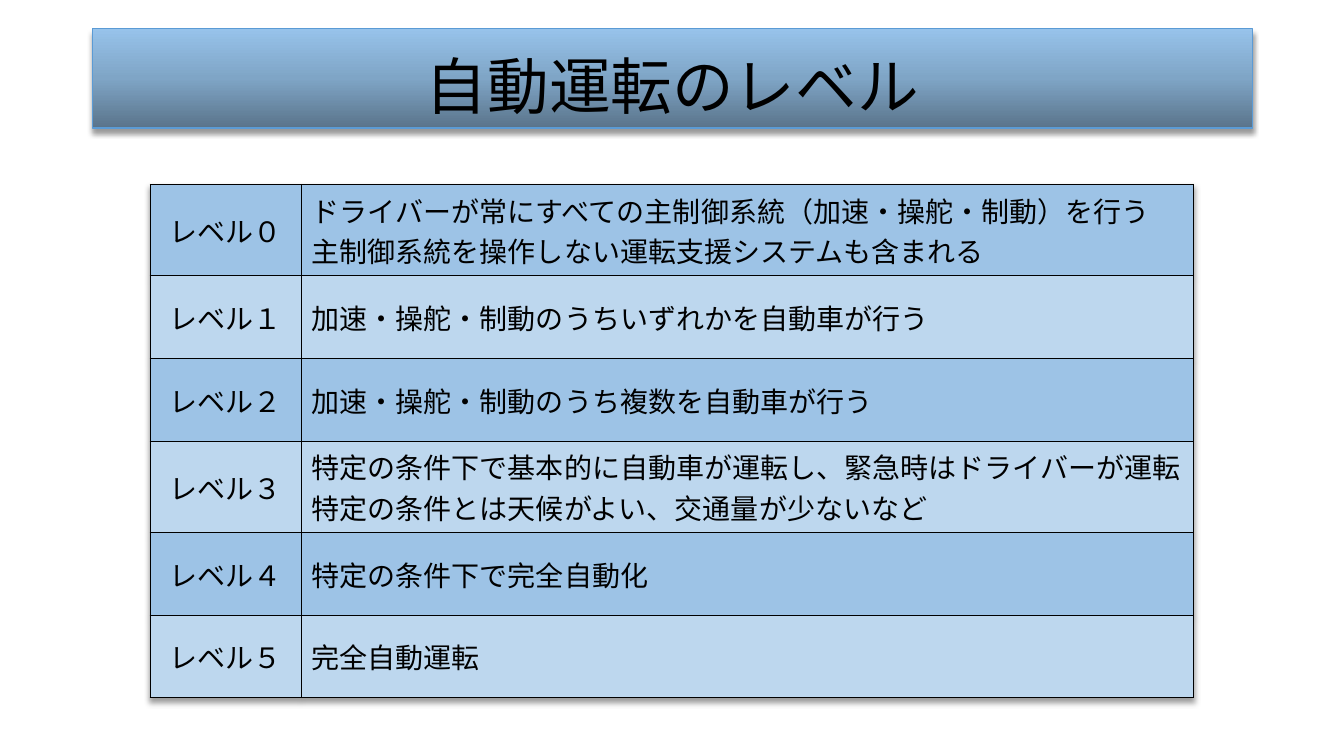
import copy

import lxml.etree
import pptx
import pptx.dml.color
import pptx.enum.shapes
import pptx.enum.text
import pptx.oxml
import pptx.oxml.ns
import pptx.util

Inches = pptx.util.Inches
Pt = pptx.util.Pt
qn = pptx.oxml.ns.qn
PP_ALIGN = pptx.enum.text.PP_ALIGN
MSO_ANCHOR = pptx.enum.text.MSO_ANCHOR


def rgb(value):
    return pptx.dml.color.RGBColor.from_string(value)


class Deck:
    font = "Noto Sans CJK JP"
    ink = "000000"
    bands = ("9DC3E6", "BDD7EE")

    def __init__(self):
        self.prs = pptx.Presentation()
        self.prs.slide_width = Inches(13.33)
        self.prs.slide_height = Inches(7.5)
        self.s = self.prs.slides.add_slide(self.prs.slide_layouts[6])

    def text(self, tf, text, size, align):
        tf.text = text
        for p in tf.paragraphs:
            p.alignment = align
            for r in p.runs:
                r.font.size = Pt(size)
                r.font.name = self.font
                r.font.color.rgb = rgb(self.ink)
                ea = lxml.etree.SubElement(r.font._element, qn("a:ea"))
                ea.set("typeface", self.font)

    def add_shadow(self, effects):
        effects.append(pptx.oxml.parse_xml(
            '<a:outerShdw xmlns:a="http://schemas.openxmlformats.org/drawingml/2006/main"'
            f' blurRad="{Pt(4)}" dist="{Pt(3)}" dir="5400000" algn="ctr" rotWithShape="0">'
            f'<a:srgbClr val="{self.ink}"><a:alpha val="40000"/></a:srgbClr></a:outerShdw>'))

    def title(self, text, left, top, width, height, stops):
        sp = self.s.shapes.add_shape(
            pptx.enum.shapes.MSO_SHAPE.ROUNDED_RECTANGLE,
            Inches(left), Inches(top), Inches(width), Inches(height))
        sp.adjustments[0] = 0
        sp.fill.gradient()
        sp.fill.gradient_angle = 90
        gradient = sp._element.spPr.find(".//" + qn("a:gsLst"))
        gradient.insert(1, copy.deepcopy(gradient[0]))
        for stop, (position, color) in zip(sp.fill.gradient_stops, stops):
            stop.position = position
            stop.color.rgb = rgb(color)
        sp.line.color.rgb = rgb("5B9BD5")
        sp.line.width = Pt(1)
        sp.shadow.inherit = False
        self.add_shadow(sp._element.spPr.find(qn("a:effectLst")))
        tf = sp.text_frame
        tf.word_wrap = True
        tf.vertical_anchor = MSO_ANCHOR.BOTTOM
        self.text(tf, text, 44, PP_ALIGN.CENTER)
        tf.paragraphs[0].line_spacing = 0.9

    def borders(self, cell):
        tcPr = cell._tc.get_or_add_tcPr()
        for i, side in enumerate(("lnL", "lnR", "lnT", "lnB")):
            ln = lxml.etree.Element(qn("a:" + side), w=str(Pt(1)))
            fill = lxml.etree.SubElement(ln, qn("a:solidFill"))
            lxml.etree.SubElement(fill, qn("a:srgbClr"), val=self.ink)
            tcPr.insert(i, ln)

    def table(self, rows, left, top, widths, row_height):
        frame = self.s.shapes.add_table(
            len(rows), len(widths), Inches(left), Inches(top),
            Inches(sum(widths)), Inches(row_height * len(rows)))
        table = frame.table
        table.first_row = False
        table.horz_banding = False
        effects = lxml.etree.Element(qn("a:effectLst"))
        self.add_shadow(effects)
        table._tbl.tblPr.insert(0, effects)
        for column, width in zip(table.columns, widths):
            column.width = Inches(width)
        for i, row in enumerate(rows):
            table.rows[i].height = Inches(row_height)
            for j, (text, align) in enumerate(zip(row, (PP_ALIGN.CENTER, PP_ALIGN.LEFT))):
                cell = table.cell(i, j)
                self.borders(cell)
                cell.fill.solid()
                cell.fill.fore_color.rgb = rgb(self.bands[i % 2])
                cell.vertical_anchor = MSO_ANCHOR.MIDDLE
                self.text(cell.text_frame, text, 20, align)


def main():
    deck = Deck()
    deck.title("自動運転のレベル", 0.92, 0.28, 11.5, 0.99,
               [(0, "5A748B"), (0.5, "7FA5C6"), (1, "97C3EB")])
    levels = [
        ("レベル０", "ドライバーが常にすべての主制御系統（加速・操舵・制動）を行う\n"
                     "主制御系統を操作しない運転支援システムも含まれる"),
        ("レベル１", "加速・操舵・制動のうちいずれかを自動車が行う"),
        ("レベル２", "加速・操舵・制動のうち複数を自動車が行う"),
        ("レベル３", "特定の条件下で基本的に自動車が運転し、緊急時はドライバーが運転\n"
                     "特定の条件とは天候がよい、交通量が少ないなど"),
        ("レベル４", "特定の条件下で完全自動化"),
        ("レベル５", "完全自動運転"),
    ]
    deck.table(levels, 1.49, 1.83, (1.5, 8.85), 0.82)
    deck.prs.save("out.pptx")


if __name__ == "__main__":
    main()
